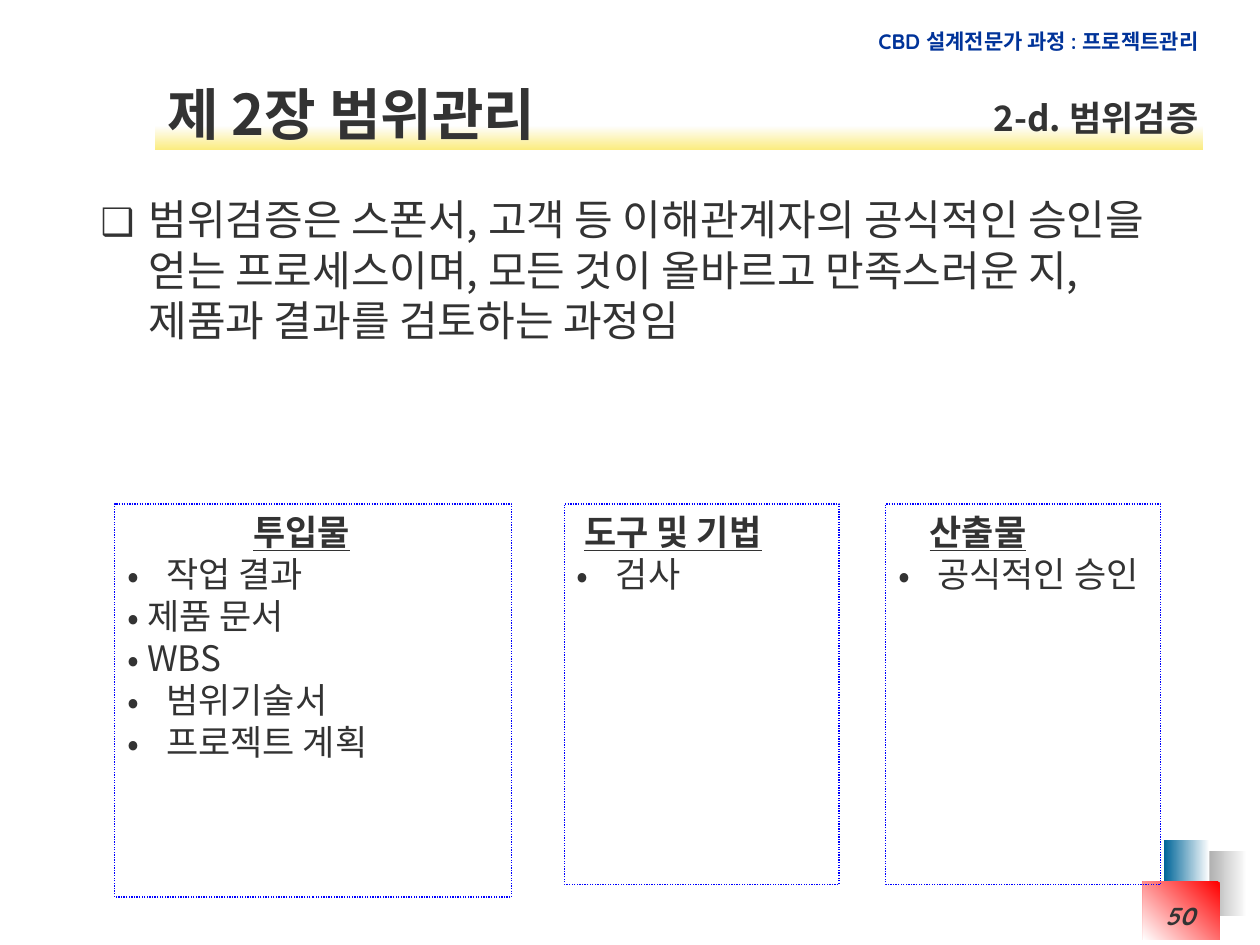
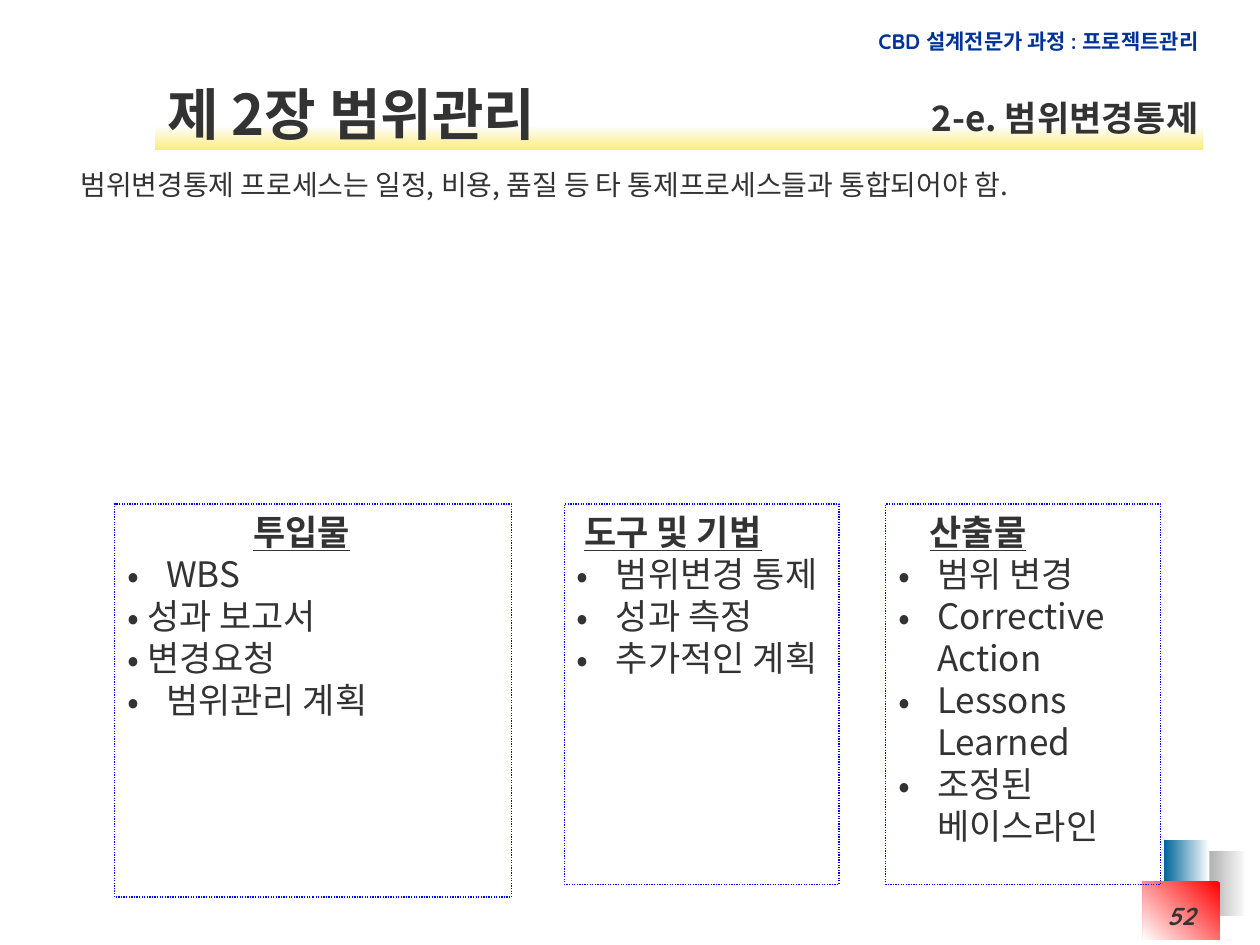
from lxml import etree
from pptx import Presentation
from pptx.dml.color import RGBColor
from pptx.enum import dml, shapes, text
from pptx.oxml import ns
from pptx.util import Inches, Pt

INK, NAVY, BLUE = "333333", "003399", "0000FF"
BODY_FONT, ACCENT_FONT = "Noto Sans CJK KR", "Quicksand"
COURSE = "CBD 설계전문가 과정 : 프로젝트관리"
CHAPTER = "제 2장 범위관리"
RIGHT = text.PP_ALIGN.RIGHT
WIDE, NARROW = 0.31, 0.16

GRADIENT_BLOCKS = [
    ((9.5, 6.75, 0.4, 0.52), ("FFFFFF", "969696"), 180),
    ((9.24, 6.67, 0.36, 0.52), ("FFFFFF", "006699"), 180),
    ((9.07, 7, 0.61, 0.46), ("FF0000", "FFFFFF"), 225),
    ((1.23, 1, 8.32, 0.19), ("FEFEFE", "FBEC7F"), 270),
]
PROCESS_BOXES = [
    ("투입물", (0.91, 4, 3.15, 3.12), 1),
    ("도구 및 기법", (4.48, 4, 2.18, 3.02), 0.06),
    ("산출물", (7.03, 4, 2.18, 3.02), 0.25),
]


def color(value):
    return RGBColor.from_string(value)


def format_runs(paragraph, size, font=BODY_FONT, ink=INK, bold=False, italic=False, underline=False):
    for run in paragraph.runs:
        run.font.size = Pt(size)
        run.font.name = font
        run.font.bold = bold
        run.font.italic = italic
        run.font.underline = underline
        run.font.color.rgb = color(ink)
        east_asian = etree.SubElement(run.font._element, ns.qn("a:ea"))
        east_asian.set("typeface", BODY_FONT)


def set_indent(paragraph, left, hanging=0):
    properties = paragraph._p.get_or_add_pPr()
    properties.set("marL", str(Inches(left)))
    properties.set("indent", str(-Inches(hanging)))
    return properties


def set_bullet(paragraph, symbol, indent, percent=100):
    properties = set_indent(paragraph, indent, indent)
    etree.SubElement(properties, ns.qn("a:buSzPct")).set("val", str(percent * 1000))
    etree.SubElement(properties, ns.qn("a:buFont")).set("typeface", BODY_FONT)
    etree.SubElement(properties, ns.qn("a:buChar")).set("char", symbol)


def add_text(slide, area, content, size, align=text.PP_ALIGN.LEFT, **style):
    box = slide.shapes.add_textbox(*map(Inches, area))
    box.text_frame.word_wrap = True
    box.text_frame.text = content
    paragraph = box.text_frame.paragraphs[0]
    paragraph.alignment = align
    format_runs(paragraph, size, **style)
    return paragraph


def add_rectangle(slide, area):
    rectangle = slide.shapes.add_shape(shapes.MSO_SHAPE.RECTANGLE, *map(Inches, area))
    rectangle.shadow.inherit = False
    return rectangle


def add_gradient_block(slide, area, stops, angle):
    block = add_rectangle(slide, area)
    block.line.fill.background()
    block.fill.gradient()
    block.fill.gradient_angle = angle
    for stop, value in zip(block.fill.gradient_stops, stops):
        stop.color.rgb = color(value)


def add_process_box(slide, heading, area, heading_indent, items):
    box = add_rectangle(slide, area)
    box.fill.background()
    box.line.color.rgb = color(BLUE)
    box.line.width = Pt(0.75)
    box.line.dash_style = dml.MSO_LINE.ROUND_DOT
    frame = box.text_frame
    frame.word_wrap = True
    frame.vertical_anchor = text.MSO_ANCHOR.TOP
    frame.text = heading
    title = frame.paragraphs[0]
    title.alignment = text.PP_ALIGN.LEFT
    set_indent(title, heading_indent)
    format_runs(title, 20, bold=True, underline=True)
    for content, indent in items:
        paragraph = frame.add_paragraph()
        paragraph.text = content
        paragraph.alignment = text.PP_ALIGN.LEFT
        set_bullet(paragraph, "•", indent)
        format_runs(paragraph, 20)


def add_title(slide):
    title = slide.shapes.title
    title.left, title.top, title.width, title.height = map(Inches, (1.23, 0.59, 3.77, 0.61))
    title.text_frame.text = CHAPTER
    title.text_frame.word_wrap = True
    title.text_frame.auto_size = text.MSO_AUTO_SIZE.NONE
    title.text_frame.vertical_anchor = text.MSO_ANCHOR.MIDDLE
    paragraph = title.text_frame.paragraphs[0]
    paragraph.alignment = text.PP_ALIGN.LEFT
    format_runs(paragraph, 32, bold=True)
    slide.shapes.element.append(title.element)


def add_process_slide(presentation, section, page, columns):
    slide = presentation.slides.add_slide(presentation.slide_layouts[5])
    for area, stops, angle in GRADIENT_BLOCKS:
        add_gradient_block(slide, area, stops, angle)
    add_text(slide, (6, 0.18, 3.61, 0.3), COURSE, 12, RIGHT, font=ACCENT_FONT, ink=NAVY, bold=True)
    for (heading, area, indent), items in zip(PROCESS_BOXES, columns):
        add_process_box(slide, heading, area, indent, items)
    add_title(slide)
    add_text(slide, (6, 0.72, 3.61, 0.44), section, 20, RIGHT, bold=True)
    add_text(slide, (8.35, 7.1, 1.23, 0.4), page, 14, RIGHT, font=ACCENT_FONT, bold=True, italic=True)
    return slide


def main():
    presentation = Presentation()
    presentation.slide_width = Inches(10)
    presentation.slide_height = Inches(7.5)

    verification = add_process_slide(presentation, "2-d. 범위검증", "50", [
        [("작업 결과", WIDE), ("제품 문서", NARROW), ("WBS", NARROW),
         ("범위기술서", WIDE), ("프로젝트 계획", WIDE)],
        [("검사", WIDE)],
        [("공식적인 승인", WIDE)],
    ])
    definition = add_text(
        verification, (0.7, 1.49, 8.85, 1.4),
        "범위검증은 스폰서, 고객 등 이해관계자의 공식적인 승인을 얻는 프로세스이며, "
        "모든 것이 올바르고 만족스러운 지, 제품과 결과를 검토하는 과정임", 24)
    set_bullet(definition, "❑", 0.38, 90)

    change_control = add_process_slide(presentation, "2-e. 범위변경통제", "52", [
        [("WBS", WIDE), ("성과 보고서", NARROW), ("변경요청", NARROW), ("범위관리 계획", WIDE)],
        [("범위변경 통제", WIDE), ("성과 측정", WIDE), ("추가적인 계획", WIDE)],
        [("범위 변경", WIDE), ("Corrective\vAction", WIDE),
         ("Lessons\vLearned", WIDE), ("조정된\v베이스라인", WIDE)],
    ])
    add_text(
        change_control, (0.54, 1.28, 8.93, 0.37),
        "범위변경통제 프로세스는 일정, 비용, 품질 등 타 통제프로세스들과 통합되어야 함.", 16)

    presentation.save("out.pptx")


if __name__ == "__main__":
    main()
